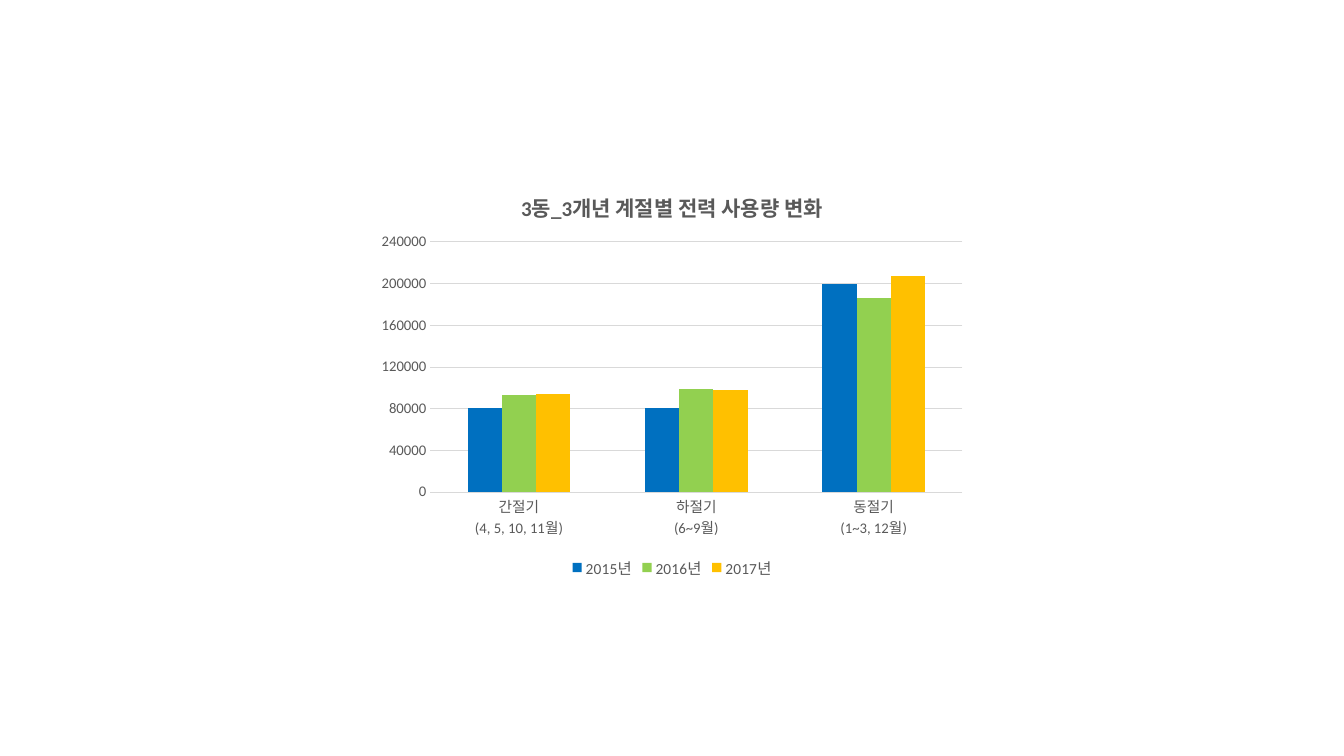
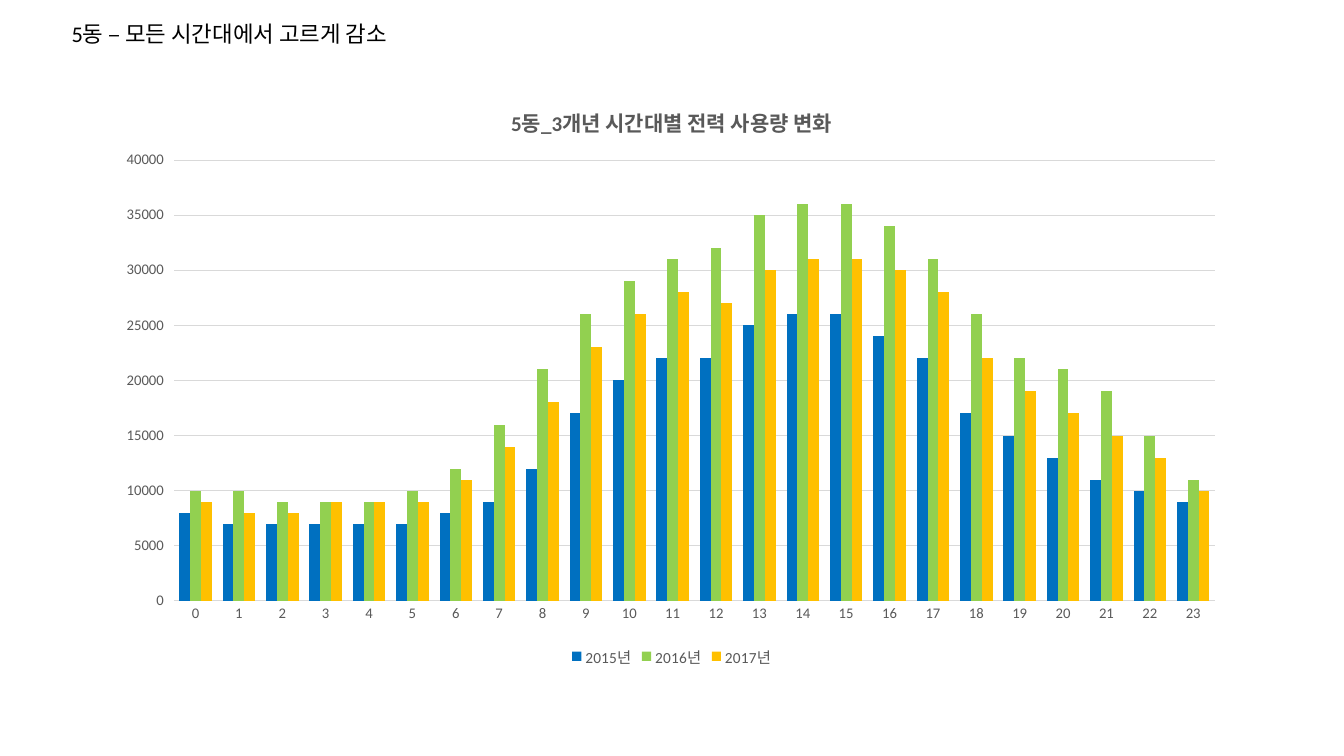
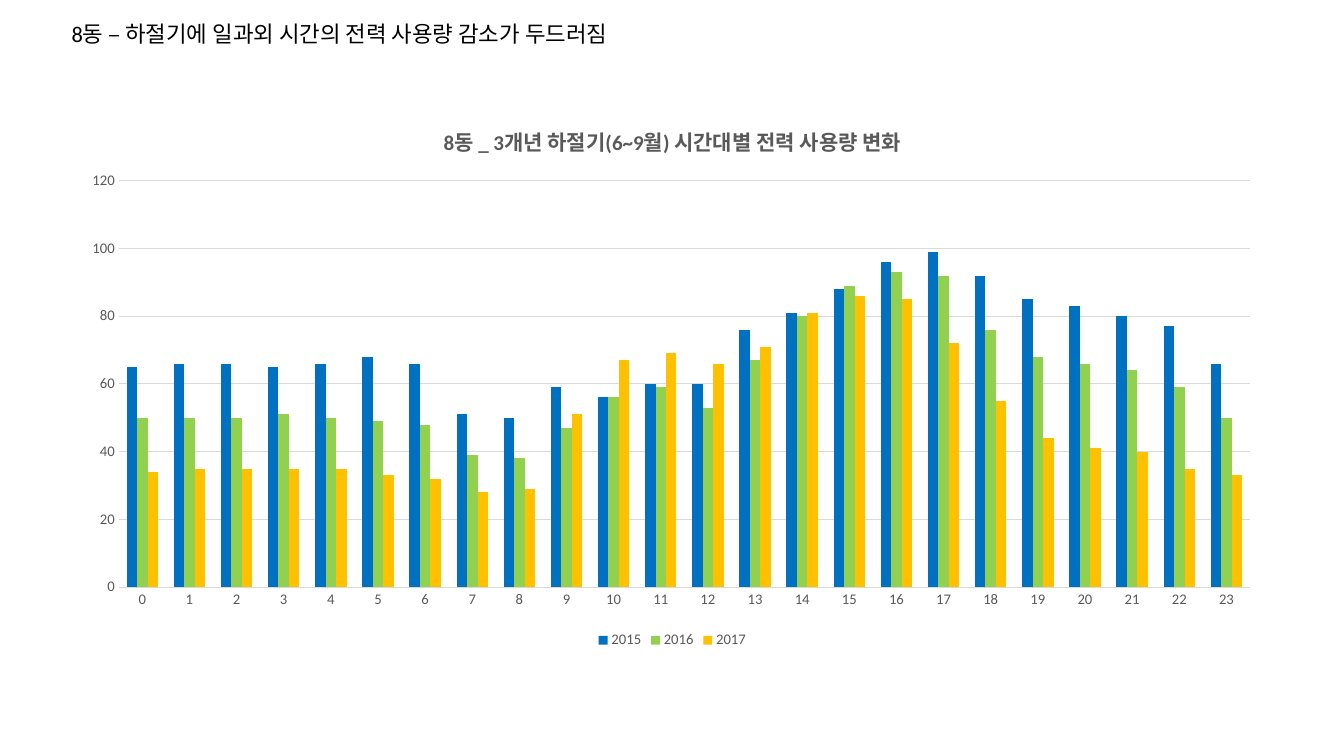
from lxml.etree import SubElement
from pptx import Presentation
from pptx.chart.data import CategoryChartData
from pptx.dml.color import RGBColor
from pptx.enum.chart import XL_CHART_TYPE as ChartType
from pptx.enum.chart import XL_LEGEND_POSITION as LegendPosition
from pptx.enum.chart import XL_TICK_MARK as TickMark
from pptx.enum.text import MSO_ANCHOR as Anchor
from pptx.enum.text import MSO_AUTO_SIZE as AutoSize
from pptx.enum.text import PP_ALIGN as Align
from pptx.oxml.ns import qn
from pptx.util import Cm, Pt

FONT = "Calibri"
BLACK = RGBColor(0x00, 0x00, 0x00)
GRAY = RGBColor(0x59, 0x59, 0x59)
RULE = RGBColor(0xD9, 0xD9, 0xD9)
YEAR_COLORS = (
    RGBColor(0x00, 0x70, 0xC0),
    RGBColor(0x92, 0xD0, 0x50),
    RGBColor(0xFF, 0xC0, 0x00),
)
TITLE_ONLY, BLANK = 5, 6
YEARS = ("2015년", "2016년", "2017년")
HOURS = [str(hour) for hour in range(24)]
SEASONS = ["간절기\n(4, 5, 10, 11월)", "하절기\n(6~9월)", "동절기\n(1~3, 12월)"]

SEASONAL_USE = (
    (81000, 81000, 200000),
    (93000, 99000, 186000),
    (94000, 98000, 207000),
)
HOURLY_USE = (
    (8000, 7000, 7000, 7000, 7000, 7000, 8000, 9000, 12000, 17000, 20000, 22000,
     22000, 25000, 26000, 26000, 24000, 22000, 17000, 15000, 13000, 11000, 10000, 9000),
    (10000, 10000, 9000, 9000, 9000, 10000, 12000, 16000, 21000, 26000, 29000, 31000,
     32000, 35000, 36000, 36000, 34000, 31000, 26000, 22000, 21000, 19000, 15000, 11000),
    (9000, 8000, 8000, 9000, 9000, 9000, 11000, 14000, 18000, 23000, 26000, 28000,
     27000, 30000, 31000, 31000, 30000, 28000, 22000, 19000, 17000, 15000, 13000, 10000),
)
SUMMER_USE = (
    (65, 66, 66, 65, 66, 68, 66, 51, 50, 59, 56, 60,
     60, 76, 81, 88, 96, 99, 92, 85, 83, 80, 77, 66),
    (50, 50, 50, 51, 50, 49, 48, 39, 38, 47, 56, 59,
     53, 67, 80, 89, 93, 92, 76, 68, 66, 64, 59, 50),
    (34, 35, 35, 35, 35, 33, 32, 28, 29, 51, 67, 69,
     66, 71, 81, 86, 85, 72, 55, 44, 41, 40, 35, 33),
)


def style_font(font, size, color=GRAY, bold=False):
    """Apply the shared typeface with a size, colour and weight."""
    font.name = FONT
    font.size = Pt(size)
    font.bold = bold
    font.color.rgb = color


def write_text(frame, text, size, align=Align.LEFT, **style):
    """Write one formatted paragraph into a text frame."""
    paragraph = frame.paragraphs[0]
    paragraph.alignment = align
    run = paragraph.add_run()
    run.text = text
    style_font(run.font, size, **style)


def add_titled_slide(deck, text, width):
    """Add a slide whose title is one line at the top left."""
    slide = deck.slides.add_slide(deck.slide_layouts[TITLE_ONLY])
    title = slide.shapes.title
    title.left, title.top = Cm(1.55), Cm(0.38)
    title.width, title.height = Cm(width), Cm(0.94)
    frame = title.text_frame
    frame.word_wrap = False
    frame.auto_size = AutoSize.SHAPE_TO_FIT_TEXT
    frame.vertical_anchor = Anchor.TOP
    write_text(frame, text, 16, color=BLACK)
    return slide


def place_plot(chart, box):
    """Fix the inner plot area as fractions of the chart."""
    plot_area = chart.plots[0]._element.getparent()
    layout = plot_area.find(qn("c:layout"))
    if layout is None:
        layout = SubElement(plot_area, qn("c:layout"))
        plot_area.insert(0, layout)
    manual = SubElement(layout, qn("c:manualLayout"))
    settings = [("layoutTarget", "inner"), ("xMode", "edge"), ("yMode", "edge")]
    for tag, value in settings + list(zip("xywh", box)):
        SubElement(manual, qn(f"c:{tag}")).set("val", str(value))


def style_axes(chart, top, step, value_tick):
    """Format both axes and the horizontal gridlines."""
    hours, use = chart.category_axis, chart.value_axis
    for axis, tick in ((hours, TickMark.NONE), (use, value_tick)):
        axis.major_tick_mark = tick
        axis.minor_tick_mark = TickMark.NONE
        style_font(axis.tick_labels.font, 10.5)
    use.minimum_scale, use.maximum_scale, use.major_unit = 0, top, step
    use.format.line.fill.background()
    for line in (hours.format.line, use.major_gridlines.format.line):
        line.color.rgb = RULE
        line.width = Pt(0.75)


def add_usage_chart(slide, title, box, categories, use, plot_box, top, step, gap,
                    years=YEARS, legend_size=11, value_tick=TickMark.NONE):
    """Add a column chart comparing power use over the three years."""
    data = CategoryChartData(number_format="General")
    data.categories = categories
    for year, values in zip(years, use):
        data.add_series(year, values)
    chart = slide.shapes.add_chart(
        ChartType.COLUMN_CLUSTERED, *map(Cm, box), data).chart
    style_font(chart.font, 10, BLACK)
    chart.has_title = True
    write_text(chart.chart_title.text_frame, title, 15, Align.CENTER, bold=True)
    chart.chart_title.include_in_layout = False
    chart.has_legend = True
    chart.legend.position = LegendPosition.BOTTOM
    chart.legend.include_in_layout = False
    style_font(chart.legend.font, legend_size)
    columns = chart.plots[0]
    columns.gap_width, columns.overlap = gap, 0
    columns.vary_by_categories = False
    for series, color in zip(columns.series, YEAR_COLORS):
        series.format.fill.solid()
        series.format.fill.fore_color.rgb = color
    style_axes(chart, top, step, value_tick)
    place_plot(chart, plot_box)


def main():
    """Build the three power-use slides."""
    deck = Presentation()
    deck.slide_width, deck.slide_height = Cm(33.87), Cm(19.05)

    seasonal = deck.slides.add_slide(deck.slide_layouts[BLANK])
    add_usage_chart(seasonal, "3동_3개년 계절별 전력 사용량 변화",
                    (9.32, 4.34, 15.24, 10.34), SEASONS, SEASONAL_USE,
                    (0.1, 0.17, 0.88, 0.61), top=240000, step=40000, gap=219)

    hourly = add_titled_slide(deck, "5동 – 모든 시간대에서 고르게 감소", 9.14)
    add_usage_chart(hourly, "5동_3개년 시간대별 전력 사용량 변화",
                    (2.67, 2.11, 28.52, 14.81), HOURS, HOURLY_USE,
                    (0.06, 0.13, 0.92, 0.75), top=40000, step=5000, gap=100,
                    value_tick=TickMark.OUTSIDE)

    summer = add_titled_slide(
        deck, "8동 – 하절기에 일과외 시간의 전력 사용량 감소가 두드러짐", 15.09)
    add_usage_chart(summer, "8동 _ 3개년 하절기(6~9월) 시간대별 전력 사용량 변화",
                    (1.78, 2.62, 30.33, 13.84), HOURS, SUMMER_USE,
                    (0.04, 0.14, 0.94, 0.74), top=120, step=20, gap=150,
                    years=("2015", "2016", "2017"), legend_size=10.5)

    deck.save("out.pptx")


if __name__ == "__main__":
    main()
